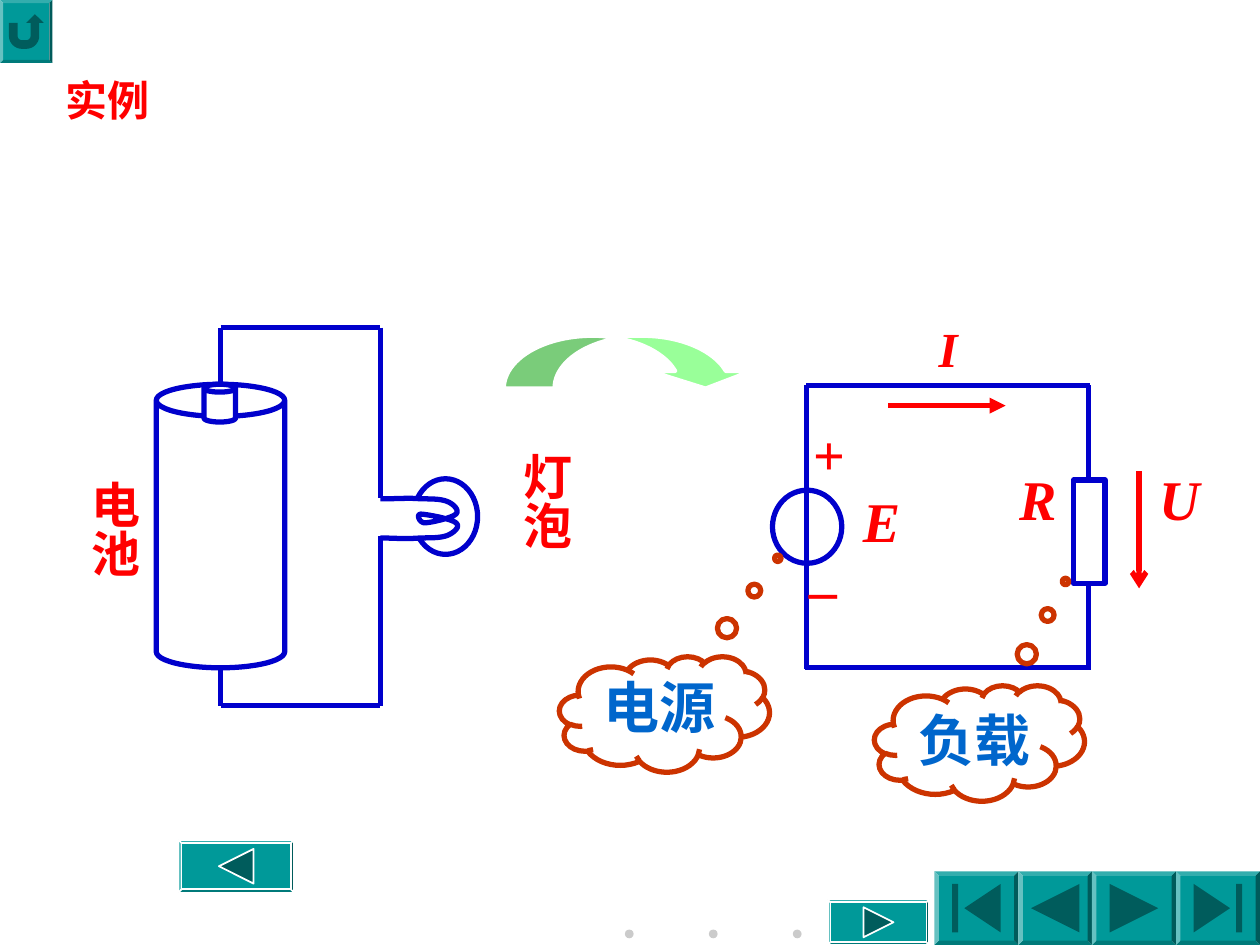
from math import cos, pi, sin

from lxml.etree import SubElement
from pptx import Presentation
from pptx.dml.color import RGBColor
from pptx.enum.shapes import MSO_CONNECTOR, MSO_SHAPE
from pptx.enum.text import MSO_ANCHOR, MSO_AUTO_SIZE, PP_ALIGN
from pptx.oxml.ns import qn
from pptx.util import Pt

RED, BLUE, RUST, SKY = "FF0000", "0000CC", "CC3300", "0066CC"
WHITE, TEAL, DARK, GREY = "FFFFFF", "009999", "005C5C", "CBCBCB"
FACE = "Times New Roman"

TITLE = ("实例", (30, 0, 684, 114))
DOTS = [357.1, 405.1, 453.1]
CELL = [
    (MSO_SHAPE.CAN, (89.3, 219.6, 73.4, 162)),
    (MSO_SHAPE.CAN, (116.6, 219.6, 18, 21.6)),
    (MSO_SHAPE.OVAL, (236.2, 273.6, 36.7, 43.2)),
]
COIL = [
    (217.4, 285.1), (226.1, 285.1), (234, 284.4), (240.5, 285.1),
    (247, 285.1), (252, 285.1), (255.6, 286.6),
    (259.2, 288), (262.8, 291.6), (260.6, 293.8),
    (258.5, 295.9), (246.2, 298.8), (242.6, 298.8),
    (239.8, 298.8), (237.6, 293.8), (240.5, 293.8),
    (243.4, 293.8), (258.5, 296.6), (260.6, 298.8),
    (263.5, 301), (259.2, 304.6), (255.6, 306),
    (252, 307.4), (247, 307.4), (240.5, 307.4),
    (234, 308.2), (221, 307.4), (217.4, 307.4),
]
WIRES = [
    [(126, 219.6), (126, 187.2), (217.4, 187.2), (217.4, 284.4)],
    [(126, 381.6), (126, 403.2), (217.4, 403.2), (217.4, 306)],
    [(460, 381.6), (623.5, 381.6)],
    [(622.1, 220.3), (622.1, 382.3)],
    [(460.8, 220.3), (622.8, 220.3)],
    [(460.8, 220.3), (460.8, 382.3)],
]
ARROWS = [
    ((507.6, 231.8), (574.6, 231.8), "triangle"),
    ((650.9, 269.3), (650.9, 336.2), "arrow"),
]
NAMES = [
    ("电池", (38.2, 267.1, 47.5, 63.4)),
    ("灯泡", (285.1, 251.3, 47.5, 63.4)),
]
SIGNS = [
    ("E", 32, (486, 274.3, 35.3, 46)),
    ("I", 28, (529.2, 178.6, 25.2, 41)),
    ("R", 32, (575.3, 262.1, 35.3, 46)),
    ("U", 32, (655.2, 262.1, 37.4, 46)),
    ("+", 32, (457.2, 236.2, 32.4, 46)),
    ("_", 32, (457.2, 302.4, 30.2, 46)),
]
CLOUDS = [
    ("负载", (499.7, 391.7, 120, 66), (0.41, -1.4), (517.7, 399.6, 78.5, 46)),
    ("电源", (319.7, 375.1, 120, 66), (0.54, -1.35), (337.7, 380.9, 78.5, 46)),
]
BUTTONS = [
    ("turn", (0, 0, 30, 36), None),
    ("first", (534, 498, 48, 42), None),
    ("prev", (582, 498, 42, 42), None),
    ("next", (624, 498, 48, 42), None),
    ("last", (672, 498, 48, 42), None),
    ("prev", (102, 480, 66, 30), WHITE),
    ("next", (473, 514, 58, 26), WHITE),
]


def arc(x, y, r, start, end):
    turns = [start + (end - start) * i / 8 for i in range(9)]
    return [(x + r * cos(t), y + r * sin(t)) for t in turns]


def flip(parts):
    return [[(-x, y) for x, y in part] for part in parts]


def curve(pts):
    out = [pts[0]]
    for i in range(0, len(pts) - 1, 3):
        a, b, c, d = pts[i:i + 4]
        for t in (n / 8 for n in range(1, 9)):
            u = 1 - t
            out.append(tuple(
                u**3 * p + 3 * u * u * t * q + 3 * u * t * t * r + t**3 * s
                for p, q, r, s in zip(a, b, c, d)))
    return out


ICONS = {
    "prev": [[(-1, 0), (1, -1), (1, 1)]],
    "first": [[(-0.5, 0), (1, -1), (1, 1)],
              [(-1, -1), (-0.75, -1), (-0.75, 1), (-1, 1)]],
    "turn": [[(-1, -0.5), (-0.5, -0.5)]
             + arc(-0.25, 0.25, 0.25, pi, pi / 2)
             + arc(0, 0.25, 0.25, pi / 2, 0)
             + [(0.25, -0.5), (0, -0.5), (0.5, -1), (1, -0.5), (0.75, -0.5)]
             + arc(0, 0.25, 0.75, 0, pi / 2)
             + arc(-0.25, 0.25, 0.75, pi / 2, pi)],
}
ICONS["next"] = flip(ICONS["prev"])
ICONS["last"] = flip(ICONS["first"])


def rgb(code):
    return RGBColor.from_string(code)


def put(obj, **vals):
    for key, val in vals.items():
        setattr(obj, key, val)


def paint(shape, fill=None, line=None, width=3):
    shape.shadow.inherit = False
    if fill:
        shape.fill.solid()
        shape.fill.fore_color.rgb = rgb(fill)
    else:
        shape.fill.background()
    if line:
        shape.line.color.rgb = rgb(line)
        shape.line.width = Pt(width)
    else:
        shape.line.fill.background()


def draw(kind, box, adj=(), **look):
    shape = slide.shapes.add_shape(kind, *map(Pt, box))
    for i, val in enumerate(adj):
        shape.adjustments[i] = val
    paint(shape, **look)
    return shape


def trace(parts, close, **look):
    pen = None
    for part in parts:
        pts = [(Pt(x), Pt(y)) for x, y in part]
        if pen is None:
            pen = slide.shapes.build_freeform(*pts[0], scale=1.0)
        else:
            pen.move_to(*pts[0])
        pen.add_line_segments(pts[1:], close=close)
    paint(pen.convert_to_shape(), **look)


def wire(a, b, color=BLUE, tip=None):
    line = slide.shapes.add_connector(
        MSO_CONNECTOR.STRAIGHT, *map(Pt, (*a, *b)))
    line.line.color.rgb = rgb(color)
    line.line.width = Pt(3)
    if tip:
        SubElement(line.line._get_or_add_ln(), qn("a:tailEnd"), type=tip)
    SubElement(line._element.spPr, qn("a:effectLst"))


def write(shape, text, size, color, inset=(7.2, 3.6), wrap=False, **font):
    frame = shape.text_frame
    x, y = map(Pt, inset)
    put(frame, text=text, word_wrap=wrap, auto_size=MSO_AUTO_SIZE.NONE,
        margin_left=x, margin_right=x, margin_top=y, margin_bottom=y)
    para = frame.paragraphs[0]
    para.alignment = PP_ALIGN.LEFT
    put(para.font, name=FACE, size=Pt(size), bold=True, **font)
    para.font.color.rgb = rgb(color)
    return frame


def label(text, size, color, box, **font):
    write(slide.shapes.add_textbox(*map(Pt, box)), text, size, color, **font)


deck = Presentation()
put(deck, slide_width=Pt(720), slide_height=Pt(540))
slide = deck.slides.add_slide(deck.slide_layouts[5])

text, box = TITLE
title = slide.shapes.title
put(title, **dict(zip(("left", "top", "width", "height"), map(Pt, box))))
paint(title, WHITE, WHITE, 1)
write(title, text, 24, RED, wrap=True).vertical_anchor = MSO_ANCHOR.MIDDLE

for x in DOTS:
    draw(MSO_SHAPE.OVAL, (x, 531.2, 5, 5), fill=GREY)

for kind, box in CELL:
    draw(kind, box, fill=WHITE, line=BLUE)
trace([curve(COIL)], False, fill=WHITE, line=BLUE)
for path in WIRES:
    for a, b in zip(path, path[1:]):
        wire(a, b)
for a, b, tip in ARROWS:
    wire(a, b, RED, tip)
draw(MSO_SHAPE.RECTANGLE, (613.4, 274.3, 18, 59), fill=WHITE, line=BLUE)
draw(MSO_SHAPE.OVAL, (441.4, 280.1, 39.6, 41.8), line=BLUE)
draw(MSO_SHAPE.CURVED_DOWN_ARROW, (288, 192, 144, 30), (0.96, 1.92, 0.33),
     fill="99FF99", line=WHITE, width=2.25)

for text, box in NAMES:
    shape = draw(MSO_SHAPE.RECTANGLE, box, fill=WHITE)
    frame = write(shape, text, 28, RED, (3.6, 7.2))
    frame.vertical_anchor = MSO_ANCHOR.TOP
    frame._txBody.bodyPr.set("vert", "eaVert")
for text, size, box in SIGNS:
    label(text, size, RED, box, italic=True)
for text, box, adj, spot in CLOUDS:
    draw(MSO_SHAPE.CLOUD_CALLOUT, box, adj, fill=WHITE, line=RUST)
    label(text, 32, SKY, spot)

for icon, box, edge in BUTTONS:
    x, y, w, h = box
    draw(MSO_SHAPE.BEVEL, box, (0.06,), fill=TEAL, line=edge, width=1)
    r = 0.33 * min(w, h)
    parts = [[(x + w / 2 + r * u, y + h / 2 + r * v) for u, v in part]
             for part in ICONS[icon]]
    trace(parts, True, fill=DARK, line=edge, width=1)

deck.save("out.pptx")
